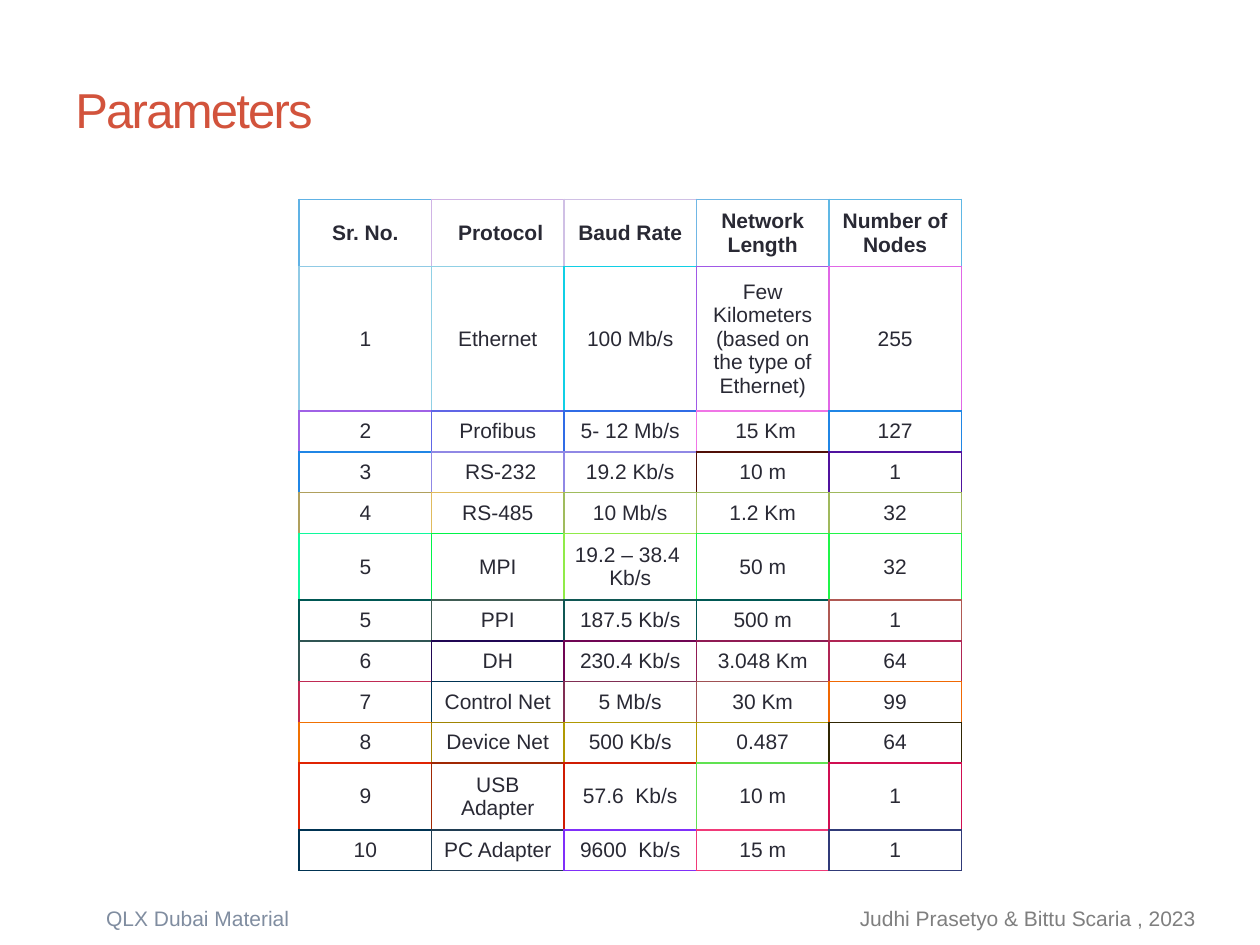
from lxml.etree import SubElement
from pptx import Presentation
from pptx.dml.color import RGBColor
from pptx.enum.text import MSO_ANCHOR, MSO_AUTO_SIZE, PP_ALIGN
from pptx.oxml.ns import qn
from pptx.util import Cm, Pt

FONT = "Arial"
TITLE_RED = RGBColor(0xD2, 0x53, 0x3C)
TEXT_DARK = RGBColor(0x29, 0x29, 0x34)
FOOTER_BLUE = RGBColor(0x80, 0x8D, 0xA0)
FOOTER_GRAY = RGBColor(0x7F, 0x7F, 0x7F)
WHITE = RGBColor(0xFF, 0xFF, 0xFF)

COLUMN_WIDTH = Cm(2.67)
ONE_LINE, TWO_LINES, FIVE_LINES = Cm(0.82), Cm(1.35), Cm(2.92)
ROW_HEIGHTS = ([TWO_LINES, FIVE_LINES] + [ONE_LINE] * 3 + [TWO_LINES]
               + [ONE_LINE] * 4 + [TWO_LINES, ONE_LINE])
CELL_MARGIN = Cm(0.15)

ROWS = [
    ["Sr. No.", " Protocol", "Baud Rate", "Network Length", "Number of Nodes"],
    ["1", "Ethernet", "100 Mb/s",
     "Few Kilometers (based on the type of Ethernet)", "255"],
    ["2", "Profibus", "5- 12 Mb/s", " 15 Km", "127"],
    ["3", " RS-232", "19.2 Kb/s", "10 m", "1"],
    ["4", "RS-485", "10 Mb/s", "1.2 Km", "32"],
    ["5", "MPI", "19.2 – 38.4  Kb/s", "50 m", "32"],
    ["5", "PPI", "187.5 Kb/s", "500 m", "1"],
    ["6", "DH", "230.4 Kb/s", "3.048 Km", "64"],
    ["7", "Control Net", "5 Mb/s", "30 Km", "99"],
    ["8", "Device Net", "500 Kb/s", "0.487", "64"],
    ["9", "USB Adapter", "57.6  Kb/s", "10 m", "1"],
    ["10", "PC Adapter", "9600  Kb/s", "15 m", "1"],
]

# Colour of each cell's left and top border; neighbours share their edge
BORDER_COLORS = [[RGBColor.from_string(code) for code in line.split()] for line in (
    "60B2E5 D0B4E5 D0C0E5 70B7E5 60B8E5",
    "90CAE5 90D0E5 10CFE5 A059E6 E067E6",
    "A062E6 6066E6 306CE6 F075E6 2086E5",
    "2086E5 9088E5 9088E5 500F07 50139E",
    "B0A05D E0BB5D A0BC5D A0BF5D A0B95D",
    "10F99D 00F449 90EB49 20F549 20F549",
    "005754 405C54 105753 005853 B05953",
    "305553 200754 700554 901B54 B02554",
    "C02A54 003354 802E54 A05153 F06803",
    "F07103 A08503 B09903 B09903 302603",
    "E02403 A02803 D01C03 60E251 D00E52",
    "003352 203D52 802FF9 F03A78 303A78",
)]


def format_run(run, size, color, bold=False):
    run.font.name = FONT
    run.font.size = Pt(size)
    run.font.bold = bold
    run.font.color.rgb = color


def add_text_box(slide, left, top, width, height, text):
    shape = slide.shapes.add_textbox(left, top, width, height)
    shape.text_frame.word_wrap = True
    shape.text_frame.text = text
    return shape.text_frame


def add_title(slide):
    text_frame = add_text_box(slide, Cm(1.27), Cm(1.47), Cm(22.86), Cm(1.47),
                              "Parameters")
    text_frame.vertical_anchor = MSO_ANCHOR.MIDDLE
    run = text_frame.paragraphs[0].runs[0]
    format_run(run, 28, TITLE_RED)
    run.font._element.set("spc", "-100")


def add_footer(slide):
    text_frame = add_text_box(slide, Cm(1.27), Cm(18.14), Cm(23.14), Cm(0.76),
                              "QLX Dubai Material\t")
    text_frame.auto_size = MSO_AUTO_SIZE.SHAPE_TO_FIT_TEXT
    text_frame.margin_left = Cm(0.87)
    paragraph = text_frame.paragraphs[0]
    format_run(paragraph.runs[0], 12, FOOTER_BLUE)
    authors = paragraph.add_run()
    authors.text = "Judhi Prasetyo & Bittu Scaria , 2023"
    format_run(authors, 12, FOOTER_GRAY)
    # The right tab stop pushes the authors to the right edge
    tab_list = SubElement(paragraph._p.get_or_add_pPr(), qn("a:tabLst"))
    SubElement(tab_list, qn("a:tab"), pos=str(Cm(21.97)), algn="r")


def add_border(cell, side, color, width):
    line = SubElement(cell._tc.get_or_add_tcPr(), qn(f"a:ln{side}"),
                      w=str(Pt(width)))
    fill = SubElement(line, qn("a:solidFill"))
    SubElement(fill, qn("a:srgbClr"), val=str(color))


def add_cell_borders(cell, row, column):
    own = BORDER_COLORS[row][column]
    last_row = row == len(ROWS) - 1
    last_column = column == len(ROWS[0]) - 1
    right = own if last_column else BORDER_COLORS[row][column + 1]
    bottom = own if last_row else BORDER_COLORS[row + 1][column]
    add_border(cell, "L", own, 1)
    add_border(cell, "R", right, 0.75 if last_column else 1)
    add_border(cell, "T", own, 1)
    add_border(cell, "B", bottom, 0.75 if last_row else 1)


def fill_cell(cell, text, bold):
    cell.fill.solid()
    cell.fill.fore_color.rgb = WHITE
    cell.vertical_anchor = MSO_ANCHOR.MIDDLE
    cell.margin_left = cell.margin_right = CELL_MARGIN
    cell.margin_top = cell.margin_bottom = CELL_MARGIN
    cell.text_frame.text = text
    paragraph = cell.text_frame.paragraphs[0]
    paragraph.alignment = PP_ALIGN.CENTER
    format_run(paragraph.runs[0], 12, TEXT_DARK, bold)


def add_parameter_table(slide):
    column_count = len(ROWS[0])
    table = slide.shapes.add_table(
        len(ROWS), column_count, Cm(6.03), Cm(4.02),
        COLUMN_WIDTH * column_count, sum(ROW_HEIGHTS)).table
    table.horz_banding = False
    for column in table.columns:
        column.width = COLUMN_WIDTH
    for row, (texts, height) in enumerate(zip(ROWS, ROW_HEIGHTS)):
        table.rows[row].height = height
        for column, text in enumerate(texts):
            cell = table.cell(row, column)
            add_cell_borders(cell, row, column)
            fill_cell(cell, text, bold=row == 0)


def main():
    presentation = Presentation()
    presentation.slide_width = Cm(25.4)
    presentation.slide_height = Cm(19.05)
    slide = presentation.slides.add_slide(presentation.slide_layouts[6])
    add_footer(slide)
    add_title(slide)
    add_parameter_table(slide)
    presentation.save("out.pptx")


if __name__ == "__main__":
    main()
